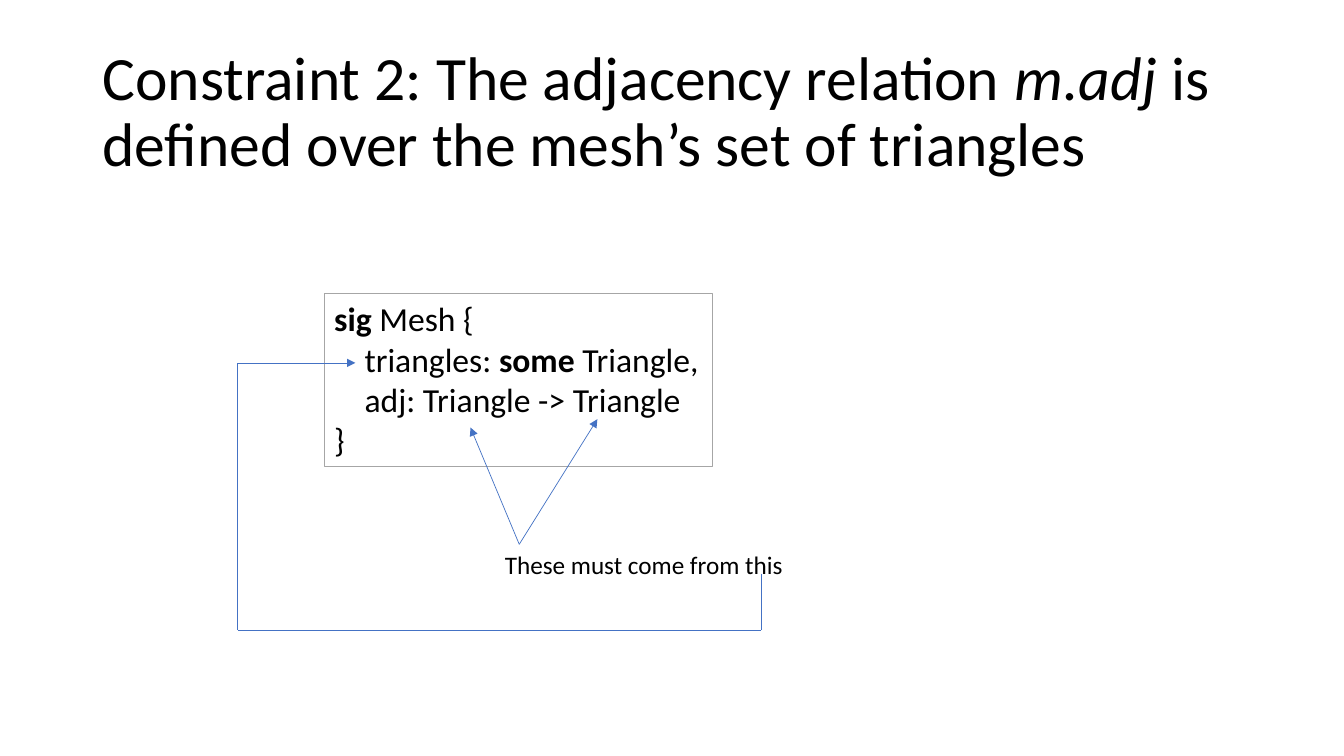
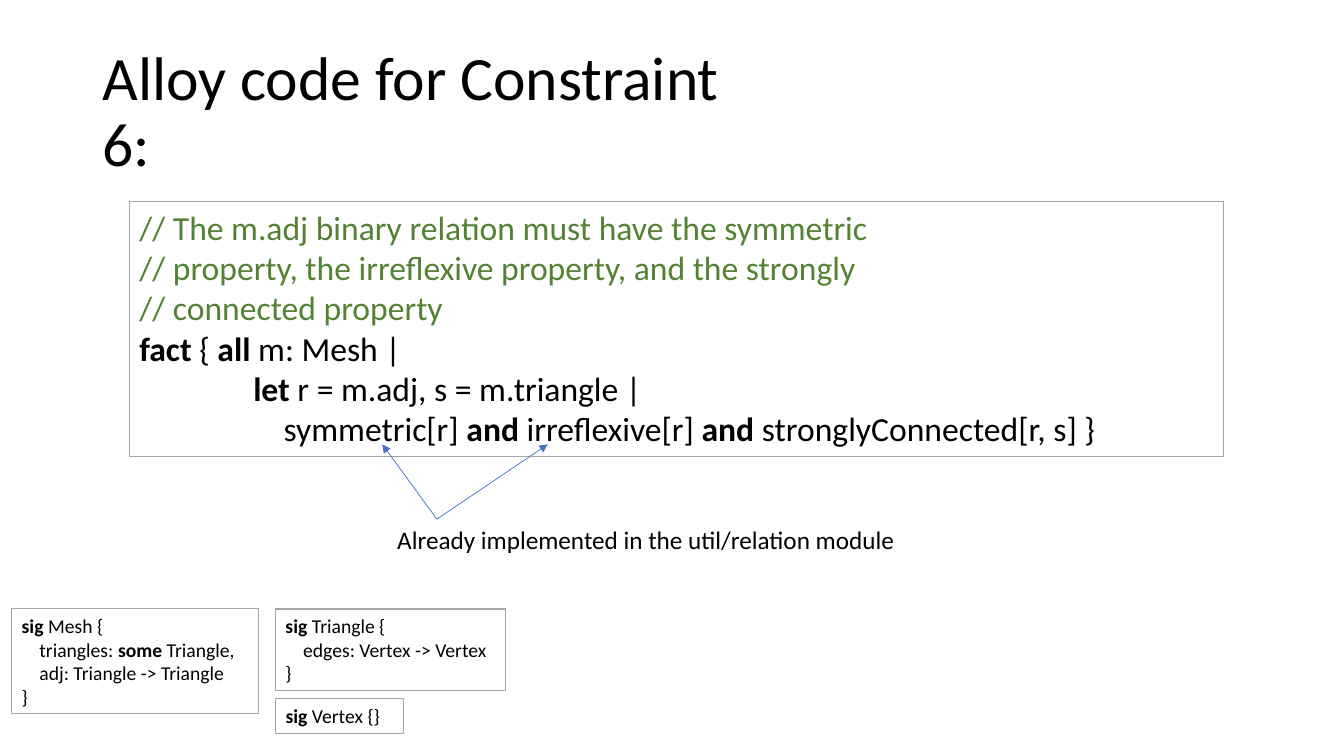
from itertools import pairwise

from lxml import etree
from pptx import Presentation
from pptx.dml.color import RGBColor
from pptx.enum.shapes import MSO_CONNECTOR
from pptx.enum.text import MSO_ANCHOR, MSO_AUTO_SIZE, PP_ALIGN
from pptx.oxml.ns import qn
from pptx.util import Inches, Pt

STRAIGHT = MSO_CONNECTOR.STRAIGHT
MIDDLE = MSO_ANCHOR.MIDDLE
NO_FIT = MSO_AUTO_SIZE.NONE
LEFT = PP_ALIGN.LEFT

# Slide grid: 160 columns by 90 rows of square cells
WIDTH, HEIGHT = Inches(13.33), Inches(7.5)
CELL = HEIGHT / 90

FONT = "Calibri"
COLORS = {"ink": "000000", "frame": "A6A6A6", "arrow": "4472C4",
          "remark": "548235"}
SPACE = 0.226  # width of one code space, in ems

# Code lines: indent in spaces, then text with *keywords*
MESH = [(0, "*sig* Mesh {"),
        (4, "triangles: *some* Triangle,"),
        (4, "adj: Triangle -> Triangle"),
        (0, "}")]
TRIANGLE = [(0, "*sig* Triangle {"),
            (4, "edges: Vertex -> Vertex"),
            (0, "}")]
VERTEX = [(0, "*sig* Vertex {}")]
FACT = [(0, "// The m.adj binary relation must have the symmetric"),
        (0, "// property, the irreflexive property, and the strongly"),
        (0, "// connected property"),
        (0, "*fact* { *all* m: Mesh |"),
        (15, "*let* r = m.adj, s = m.triangle |"),
        (19, "symmetric[r] *and* irreflexive[r] *and* stronglyConnected[r, s] }")]


def grid(*cells):
    return [round(cell * CELL) for cell in cells]


def color(name):
    return RGBColor.from_string(COLORS[name])


def write(para, text, size, style="bold", ink="ink"):
    """Fill a paragraph; parts between asterisks get the style."""
    font = para.font
    font.name, font.size = FONT, Pt(size)
    font.color.rgb = color(ink)
    for i, part in enumerate(text.split("*")):
        if part:
            run = para.add_run()
            run.text = part
            if i % 2:
                setattr(run.font, style, True)


def title(slide, box, text):
    shape = slide.shapes.title
    shape.left, shape.top, shape.width, shape.height = grid(*box)
    frame = shape.text_frame
    frame.word_wrap, frame.auto_size = True, NO_FIT
    frame.vertical_anchor = MIDDLE
    para = frame.paragraphs[0]
    para.alignment, para.line_spacing = LEFT, 0.9
    write(para, text, 44, "italic")


def code(slide, box, lines, size):
    """Framed listing."""
    shape = slide.shapes.add_textbox(*grid(*box))
    shape.line.color.rgb = color("frame")
    shape.line.width = Pt(0.75)
    frame = shape.text_frame
    frame.word_wrap = True
    for i, (indent, text) in enumerate(lines):
        para = frame.add_paragraph() if i else frame.paragraphs[0]
        margin = Pt(indent * SPACE * size)
        para._p.get_or_add_pPr().set("marL", str(margin))
        ink = "remark" if text.startswith("//") else "ink"
        write(para, text, size, ink=ink)


def trail(slide, points):
    """Chain of straight lines with an arrowhead at its end."""
    for start, end in pairwise(points):
        line = slide.shapes.add_connector(STRAIGHT, *grid(*start, *end))
        line.line.color.rgb = color("arrow")
        line.line.width = Pt(0.5)
        etree.SubElement(line._element.spPr, qn("a:effectLst"))
    tail = etree.SubElement(line.line._get_or_add_ln(), qn("a:tailEnd"))
    tail.set("type", "triangle")


def note(slide, box, text, stem, tips):
    """Caption with arrows that fan out from its top edge."""
    x, y, *_ = box
    for dx, dy in tips:
        trail(slide, [(x + stem, y), (x + dx, y + dy)])
    frame = slide.shapes.add_textbox(*grid(*box)).text_frame
    frame.word_wrap = False
    write(frame.paragraphs[0], text, 18)


def loop(slide, source, target):
    """Arrow from a caption's last word round to a listing's second line."""
    x, y, *_ = source
    left, top, *_ = target
    right, low = x + 31.7, y + 10.2
    side, row = left - 10.3, top + 8.3
    trail(slide, [(right, y + 3.5), (right, low), (side, low),
                  (side, row), (left + 3.7, row)])


def adjacency(slide):
    title(slide, (11, 4.8, 138, 17.4),
          "Constraint 2: The adjacency relation *m.adj* is defined over "
          "the mesh’s set of triangles")
    mesh = (38.6, 34.9, 46.2, 20.7)
    remark = (58.9, 64.8, 35.9, 4.8)
    code(slide, mesh, MESH, 24)
    note(slide, remark, "These must come from this", 2.9,
         [(-2.9, -13.9), (12.2, -14.9)])
    loop(slide, remark, mesh)


def properties(slide):
    title(slide, (11, 8.9, 82.9, 9.2), "Alloy code for Constraint 6:")
    code(slide, (15.4, 24, 130.2, 30.3), FACT, 24)
    note(slide, (46.1, 61.8, 62.4, 4.8),
         "Already implemented in the util/relation module", 5.9,
         [(-0.6, -8.9), (19.1, -8.9)])
    # Signatures for reference
    row, col = 72.5, 32.8
    code(slide, (1.4, row, 29.4, 12.5), MESH, 14)
    code(slide, (col, row, 27.4, 9.7), TRIANGLE, 14)
    code(slide, (col, row + 10.7, 15.2, 4.1), VERTEX, 14)


def main():
    deck = Presentation()
    deck.slide_width, deck.slide_height = WIDTH, HEIGHT
    plain = deck.slide_layouts[5]  # title only
    for build in (adjacency, properties):
        build(deck.slides.add_slide(plain))
    deck.save("out.pptx")


if __name__ == "__main__":
    main()
